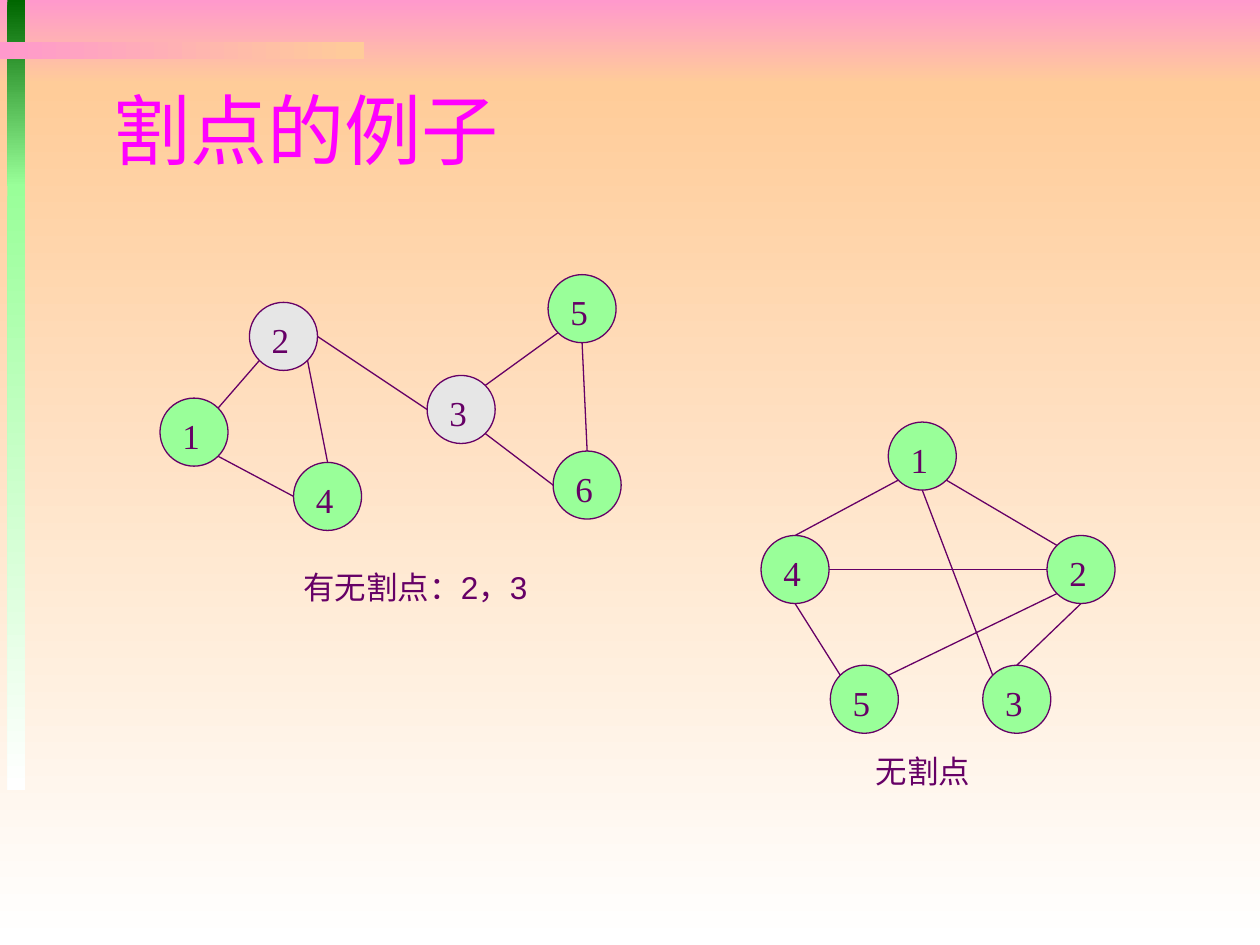
from math import sqrt

from lxml.etree import SubElement
from pptx import Presentation
from pptx.dml.color import RGBColor
from pptx.enum.shapes import MSO_CONNECTOR as Connector, MSO_SHAPE as Shape
from pptx.enum.text import MSO_ANCHOR as Anchor, PP_ALIGN as Align
from pptx.oxml.ns import qn
from pptx.util import Inches, Pt

PLUM, GREEN, GREY = "660066", "99FF99", "E6E6E6"
PINK, PEACH, WHITE = "FF99CC", "FFCC99", "FFFFFF"
DIAMETER = 0.54

# Points on a node's rim, as offsets from its centre in radii
DIAGONAL = sqrt(0.5)
RIM = {
    "N": (0, -1), "S": (0, 1), "W": (-1, 0), "E": (1, 0),
    "NW": (-DIAGONAL, -DIAGONAL), "NE": (DIAGONAL, -DIAGONAL),
    "SW": (-DIAGONAL, DIAGONAL), "SE": (DIAGONAL, DIAGONAL),
}

# Node label: left, top
CUT_NODES = {
    "2": (1.98, 2.4), "1": (1.27, 3.16), "4": (2.33, 3.67),
    "3": (3.39, 2.98), "6": (4.39, 3.58), "5": (4.35, 2.18),
}
# Node and rim point at each end
CUT_EDGES = [
    ("1", "NE", "2", "SW"), ("1", "SE", "4", "W"), ("2", "SE", "4", "N"),
    ("5", "S", "6", "N"), ("5", "SW", "3", "NE"), ("6", "W", "3", "SE"),
    ("3", "W", "2", "E"),
]
WHOLE_NODES = {
    "1": (7.05, 3.35), "4": (6.04, 4.25), "2": (8.31, 4.25),
    "3": (7.8, 5.28), "5": (6.59, 5.28),
}
WHOLE_EDGES = [
    ("1", "SE", "2", "NW"), ("2", "S", "3", "N"), ("2", "W", "4", "E"),
    ("1", "SW", "4", "N"), ("4", "S", "5", "NW"), ("5", "NE", "2", "SW"),
    ("3", "NW", "1", "S"),
]


def rgb(hex_color):
    return RGBColor.from_string(hex_color)


def write(frame, text, size, font, color):
    paragraph = frame.paragraphs[0]
    paragraph.alignment = Align.LEFT
    run = paragraph.add_run()
    run.text = text
    run.font.size = Pt(size)
    run.font.name = font
    run.font.color.rgb = rgb(color)


def add_band(shapes, left, top, width, height, start, end, angle=270):
    """Add a gradient bar; the angle runs counter-clockwise, 270 being downwards."""
    band = shapes.add_shape(Shape.RECTANGLE, Inches(left), Inches(top),
                            Inches(width), Inches(height))
    band.shadow.inherit = False
    band.line.fill.background()
    band.fill.gradient()
    band.fill.gradient_angle = angle
    for stop, color in zip(band.fill.gradient_stops, (start, end)):
        stop.color.rgb = rgb(color)


def add_node(shapes, label, left, top, color):
    node = shapes.add_shape(Shape.OVAL, Inches(left), Inches(top),
                            Inches(DIAMETER), Inches(DIAMETER))
    node.shadow.inherit = False
    node.fill.solid()
    node.fill.fore_color.rgb = rgb(color)
    node.line.color.rgb = rgb(PLUM)
    node.line.width = Pt(0.75)
    node.text_frame.vertical_anchor = Anchor.TOP
    write(node.text_frame, label, 20, "Times New Roman", PLUM)


def rim_point(corner, side):
    radius = DIAMETER / 2
    return [Inches(start + radius * (1 + offset))
            for start, offset in zip(corner, RIM[side])]


def add_edge(shapes, begin, end):
    edge = shapes.add_connector(Connector.STRAIGHT, *begin, *end)
    edge.line.color.rgb = rgb(PLUM)
    edge.line.width = Pt(0.75)
    SubElement(edge._element.spPr, qn("a:effectLst"))


def add_graph(slide, nodes, edges, cut_points=()):
    graph = slide.shapes.add_group_shape().shapes
    for label, corner in nodes.items():
        add_node(graph, label, *corner, GREY if label in cut_points else GREEN)
    for source, source_side, target, target_side in edges:
        add_edge(graph, rim_point(nodes[source], source_side),
                 rim_point(nodes[target], target_side))


def add_caption(slide, text, left, top, width):
    caption = slide.shapes.add_textbox(Inches(left), Inches(top),
                                       Inches(width), Inches(0.4))
    caption.text_frame.word_wrap = True
    write(caption.text_frame, text, 18, "Arial", PLUM)


def add_backdrop(slide):
    sky = slide.shapes.add_group_shape().shapes
    add_band(sky, 0, 0, 10, 0.67, PINK, PEACH)
    add_band(sky, 0, 0.67, 10, 6.83, PEACH, WHITE)
    stripe = slide.shapes.add_group_shape().shapes
    add_band(stripe, 0.06, 0, 0.14, 1.48, "006600", GREEN)
    add_band(stripe, 0.06, 1.46, 0.14, 4.81, GREEN, WHITE)
    add_band(slide.shapes, 0, 0.33, 2.89, 0.14, PINK, PEACH, angle=0)


def set_title(slide, text):
    """Fill the title placeholder and bring it in front of the backdrop."""
    title = slide.shapes.title
    title.left, title.top = Inches(0.8), Inches(0.57)
    title.width, title.height = Inches(8.5), Inches(0.9)
    title.text_frame.vertical_anchor = Anchor.MIDDLE
    write(title.text_frame, text, 44, "Roboto Condensed", "FF00FF")
    slide.shapes._spTree.append(title._element)


def main():
    deck = Presentation()
    deck.slide_width, deck.slide_height = Inches(10), Inches(7.5)
    slide = deck.slides.add_slide(deck.slide_layouts[5])
    add_backdrop(slide)
    set_title(slide, "割点的例子")
    add_graph(slide, CUT_NODES, CUT_EDGES, cut_points=("2", "3"))
    add_graph(slide, WHOLE_NODES, WHOLE_EDGES)
    add_caption(slide, "无割点", 6.85, 5.92, 1.62)
    add_caption(slide, "有无割点：2，3", 2.31, 4.46, 2.09)
    deck.save("out.pptx")


if __name__ == "__main__":
    main()
